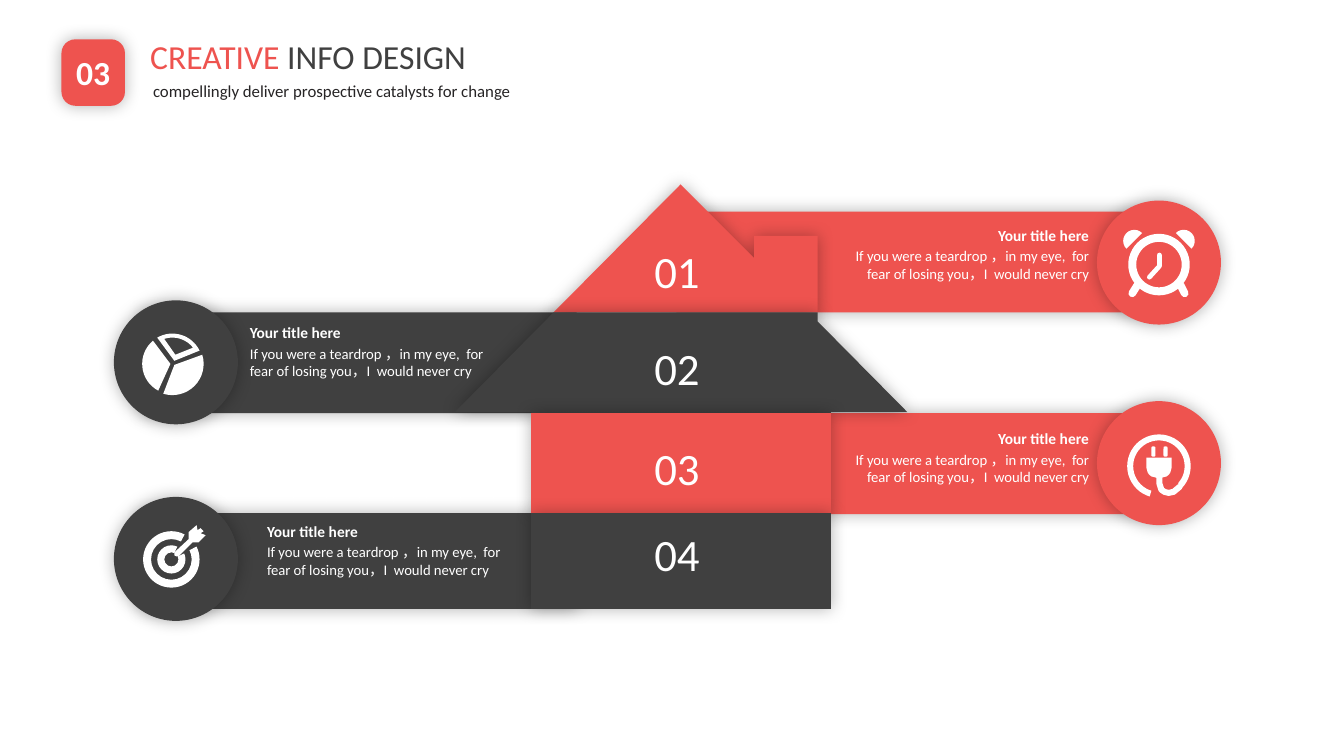
import math
from dataclasses import dataclass

import lxml.etree
import pptx
import pptx.dml.color
import pptx.enum.shapes
import pptx.enum.text
import pptx.oxml.ns
import pptx.util
from pptx.util import Inches

SHAPES = pptx.enum.shapes.MSO_SHAPE
ALIGN = pptx.enum.text.PP_ALIGN
ANCHOR = pptx.enum.text.MSO_ANCHOR


@dataclass(frozen=True)
class Theme:
    font: str = "Calibri"
    red: str = "EE534F"
    dark: str = "404040"
    white: str = "FFFFFF"
    ink: str = "262425"
    number: float = 32
    heading: float = 24
    subtitle: float = 12
    item_title: float = 11
    item_body: float = 10.5


THEME = Theme()

# Content
SECTION = "03"
HEADING = [("CREATIVE", THEME.red), (" INFO DESIGN", THEME.dark)]
SUBTITLE = "compellingly deliver prospective catalysts for change"
ITEM_TITLE = "Your title here"
ITEM_BODY = "If you were a teardrop ，in my eye,  for fear of losing you，I  would never cry"

# Bars: left, top, width, height, circle left, circle top, text left, title top, align, colour
BARS = [
    (1.42, 5.09, 4.3, 0.95, 1.13, 4.93, 2.55, 5.13, ALIGN.LEFT, THEME.dark),
    (1.42, 3.1, 4.3, 1, 1.13, 2.98, 2.38, 3.16, ALIGN.LEFT, THEME.dark),
    (6.71, 2.1, 4.93, 1, 10.88, 1.99, 8.18, 2.19, ALIGN.RIGHT, THEME.red),
    (7.34, 4.1, 4.3, 1, 10.88, 3.98, 8.18, 4.21, ALIGN.RIGHT, THEME.red),
]
CIRCLE, BODY_WIDTH, TITLE_WIDTH, BODY_DROP = 1.23, 2.72, 1.48, 0.21

# House floors: number, label top, colour, outline
FLOORS = [
    ("01", 2.37, THEME.red, [(6.75, 1.83), (7.48, 2.56), (7.48, 2.34), (8.11, 2.34),
                             (8.11, 3.1), (5.49, 3.1)]),
    ("02", 3.33, THEME.dark, [(5.49, 3.1), (8.11, 3.1), (8.11, 3.19), (9, 4.09), (8.24, 4.09),
                              (8.24, 4.1), (5.27, 4.1), (5.27, 4.09), (4.51, 4.09)]),
    ("03", 4.32, THEME.red, [(5.27, 4.1), (8.24, 4.1), (8.24, 5.09), (5.27, 5.09)]),
    ("04", 5.18, THEME.dark, [(5.27, 5.09), (8.24, 5.09), (8.24, 6.04), (5.27, 6.04)]),
]

# Icon parts: presets (kind, box, adjustments), outlines, and strokes (points, width)
DEGREE = 0.6
ICON_PRESETS = [
    # Target rings
    (SHAPES.BLOCK_ARC, (1.42, 5.27, 0.56, 0.56), (333 * DEGREE, 298 * DEGREE, 0.14)),
    (SHAPES.BLOCK_ARC, (1.56, 5.41, 0.28, 0.28), (335 * DEGREE, 295 * DEGREE, 0.25)),
    # Alarm clock face and bells
    (SHAPES.DONUT, (11.19, 2.32, 0.61, 0.61), (0.13,)),
    (SHAPES.CHORD, (11.63, 2.28, 0.22, 0.22), (225 * DEGREE, 45 * DEGREE)),
    (SHAPES.CHORD, (11.14, 2.28, 0.22, 0.22), (135 * DEGREE, 315 * DEGREE)),
    # Plug ring, body and prongs
    (SHAPES.BLOCK_ARC, (11.18, 4.31, 0.63, 0.63), (107 * DEGREE, 42 * DEGREE, 0.095)),
    (SHAPES.ROUND_2_SAME_RECTANGLE, (11.37, 4.54, 0.25, 0.2), (0, 0.5)),
    (SHAPES.ROUNDED_RECTANGLE, (11.42, 4.43, 0.04, 0.1), (0.3,)),
    (SHAPES.ROUNDED_RECTANGLE, (11.54, 4.43, 0.04, 0.1), (0.3,)),
]
ARROW = [(1.99, 5.29), (2.02, 5.27), (1.99, 5.24), (1.96, 5.26), (1.95, 5.21), (1.87, 5.28),
         (1.87, 5.35), (1.73, 5.48), (1.73, 5.51), (1.75, 5.52), (1.77, 5.52), (1.91, 5.38),
         (1.97, 5.38), (2.04, 5.31)]
ICON_STROKES = [
    ([(11.5, 2.53), (11.5, 2.64), (11.4, 2.75)], 3.4),
    ([(11.28, 2.83), (11.23, 2.91)], 5.5),
    ([(11.71, 2.83), (11.75, 2.91)], 5.5),
    ([(11.5, 4.72), (11.5, 4.8), (11.52, 4.86), (11.55, 4.88), (11.59, 4.89),
      (11.64, 4.88), (11.7, 4.83)], 4.3),
]


def arc(center, radius, start, end, steps=16):
    angles = [math.radians(start + (end - start) * i / steps) for i in range(steps + 1)]
    return [(center[0] + radius * math.cos(a), center[1] + radius * math.sin(a)) for a in angles]


PIE_CENTER = (1.71, 3.61)
ICON_OUTLINES = [
    [ARROW],
    [[(1.73, 3.62)] + arc(PIE_CENTER, 0.31, -17, 107)],
    [[(1.69, 3.61)] + arc(PIE_CENTER, 0.3, 118, 230)],
    [[(1.73, 3.58)] + arc(PIE_CENTER, 0.3, 240, 334),
     [(1.74, 3.52)] + arc(PIE_CENTER, 0.26, 322, 252)],
]

presentation = pptx.Presentation()
presentation.slide_width, presentation.slide_height = Inches(13.33), Inches(7.5)
slide = presentation.slides.add_slide(presentation.slide_layouts[5])


def rgb(color):
    return pptx.dml.color.RGBColor.from_string(color)


def paint(shape, color, shadow=False):
    shape.fill.solid()
    shape.fill.fore_color.rgb = rgb(color)
    shape.line.fill.background()
    shape.shadow.inherit = False
    if shadow:
        effects = shape.element.spPr.find(pptx.oxml.ns.qn("a:effectLst"))
        outer = lxml.etree.SubElement(effects, pptx.oxml.ns.qn("a:outerShdw"),
                                      blurRad=str(pptx.util.Pt(12)), dist="0", dir="0", algn="ctr")
        tint = lxml.etree.SubElement(outer, pptx.oxml.ns.qn("a:srgbClr"), val="000000")
        lxml.etree.SubElement(tint, pptx.oxml.ns.qn("a:alpha"), val="30000")


def add_preset(kind, box, color, adjustments=(), shadow=False):
    shape = slide.shapes.add_shape(kind, *map(Inches, box))
    for index, value in enumerate(adjustments):
        shape.adjustments[index] = value
    paint(shape, color, shadow)
    return shape


def add_outline(contours, close=True):
    contours = [[(Inches(x), Inches(y)) for x, y in contour] for contour in contours]
    builder = slide.shapes.build_freeform(*contours[0][0])
    builder.add_line_segments(contours[0][1:], close=close)
    for contour in contours[1:]:
        builder.move_to(*contour[0])
        builder.add_line_segments(contour[1:], close=close)
    return builder.convert_to_shape()


def add_stroke(points, width):
    shape = add_outline([points], close=False)
    shape.fill.background()
    shape.shadow.inherit = False
    shape.line.color.rgb = rgb(THEME.white)
    shape.line.width = pptx.util.Pt(width)
    shape.element.spPr.find(pptx.oxml.ns.qn("a:ln")).set("cap", "rnd")


def write_text(text, box=None, shape=None, size=12, color=THEME.white, bold=False,
               align=ALIGN.LEFT, anchor=ANCHOR.TOP):
    """Write a string, or (string, colour) pairs, into a shape or a new text box."""
    if shape is None:
        shape = slide.shapes.add_textbox(*map(Inches, box))
    frame = shape.text_frame
    frame.word_wrap = True
    frame.auto_size = pptx.enum.text.MSO_AUTO_SIZE.NONE
    frame.vertical_anchor = anchor
    paragraph = frame.paragraphs[0]
    paragraph.alignment = align
    for words, run_color in ([(text, color)] if isinstance(text, str) else text):
        run = paragraph.add_run()
        run.text = words
        run.font.name, run.font.size, run.font.bold = THEME.font, pptx.util.Pt(size), bold
        run.font.color.rgb = rgb(run_color)


# Bars with circles and texts
for left, top, width, height, circle_x, circle_y, text_x, text_y, align, color in BARS:
    add_preset(SHAPES.RECTANGLE, (left, top, width, height), color, shadow=True)
    add_preset(SHAPES.OVAL, (circle_x, circle_y, CIRCLE, CIRCLE), color, shadow=True)
    write_text(ITEM_BODY, (text_x, text_y + BODY_DROP, BODY_WIDTH, 0.45),
               size=THEME.item_body, align=align)
    title_x = text_x + (BODY_WIDTH - TITLE_WIDTH if align == ALIGN.RIGHT else 0)
    write_text(ITEM_TITLE, (title_x, text_y, TITLE_WIDTH, 0.29),
               size=THEME.item_title, bold=True, align=align)

# Icons
for kind, box, adjustments in ICON_PRESETS:
    add_preset(kind, box, THEME.white, adjustments)
for contours in ICON_OUTLINES:
    paint(add_outline(contours), THEME.white)
for points, width in ICON_STROKES:
    add_stroke(points, width)

# House
for number, label_top, color, outline in FLOORS:
    paint(add_outline([outline]), color, shadow=True)
    write_text(number, (6.3, label_top, 0.83, 0.64), size=THEME.number, align=ALIGN.CENTER)

# Header
badge = add_preset(SHAPES.ROUNDED_RECTANGLE, (0.61, 0.39, 0.63, 0.66), THEME.red, (0.22,), True)
write_text(SECTION, shape=badge, size=THEME.heading, bold=True, align=ALIGN.CENTER,
           anchor=ANCHOR.MIDDLE)
title = slide.shapes.title
title.left, title.top, title.width, title.height = map(Inches, (1.39, 0.21, 3.6, 0.7))
write_text(HEADING, shape=title, size=THEME.heading, anchor=ANCHOR.MIDDLE)
write_text(SUBTITLE, (1.42, 0.75, 4, 0.3), size=THEME.subtitle, color=THEME.ink)

presentation.save("out.pptx")
